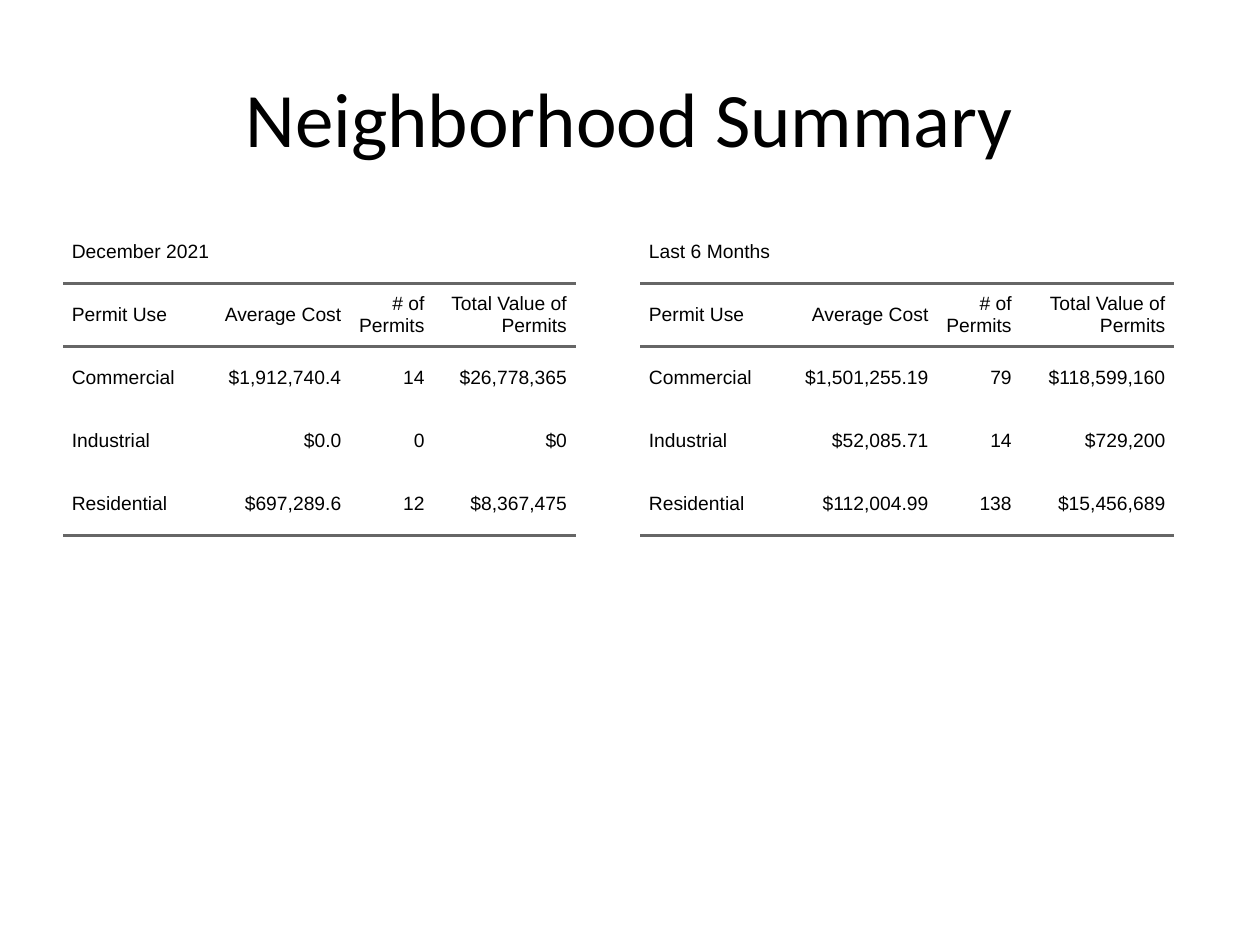
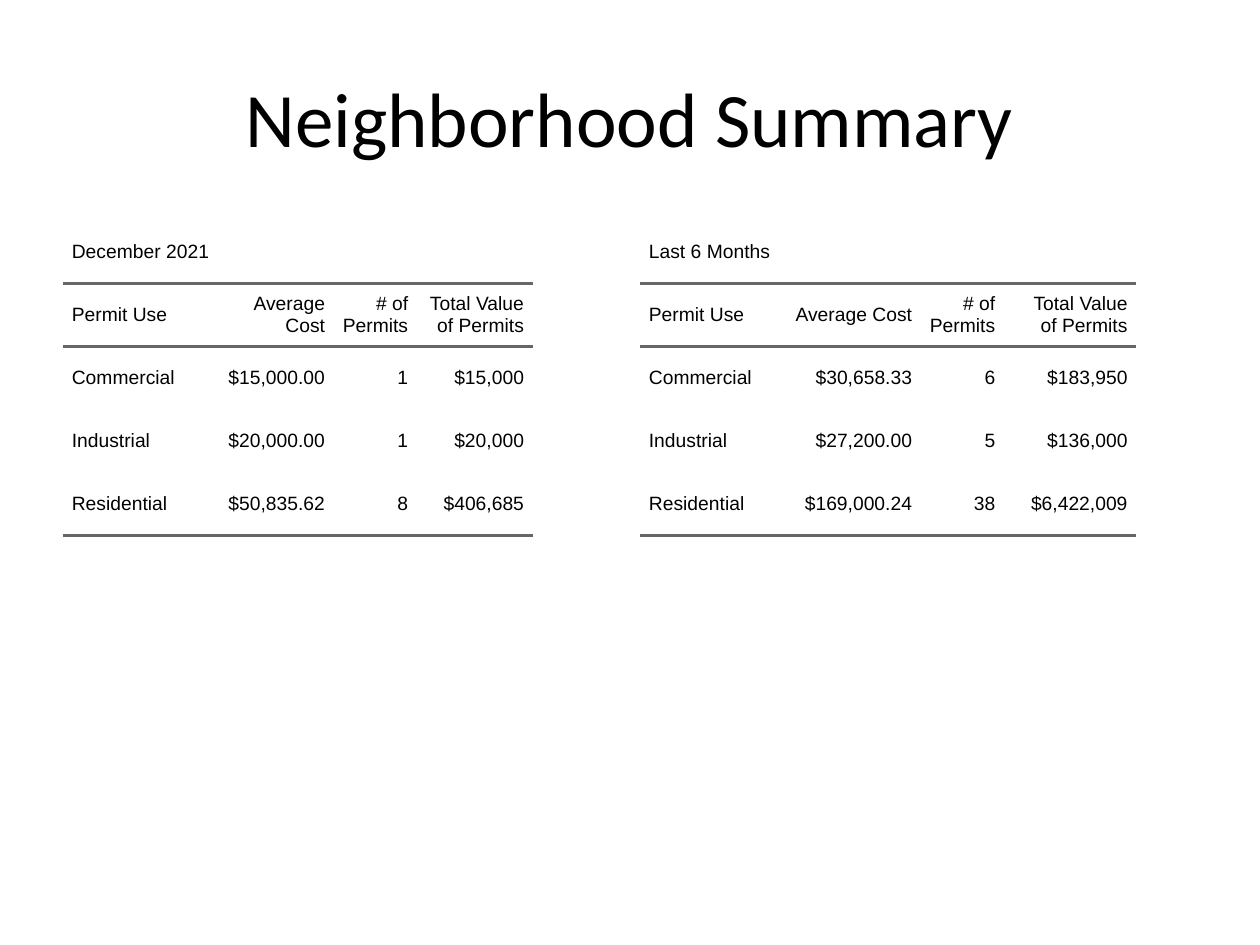
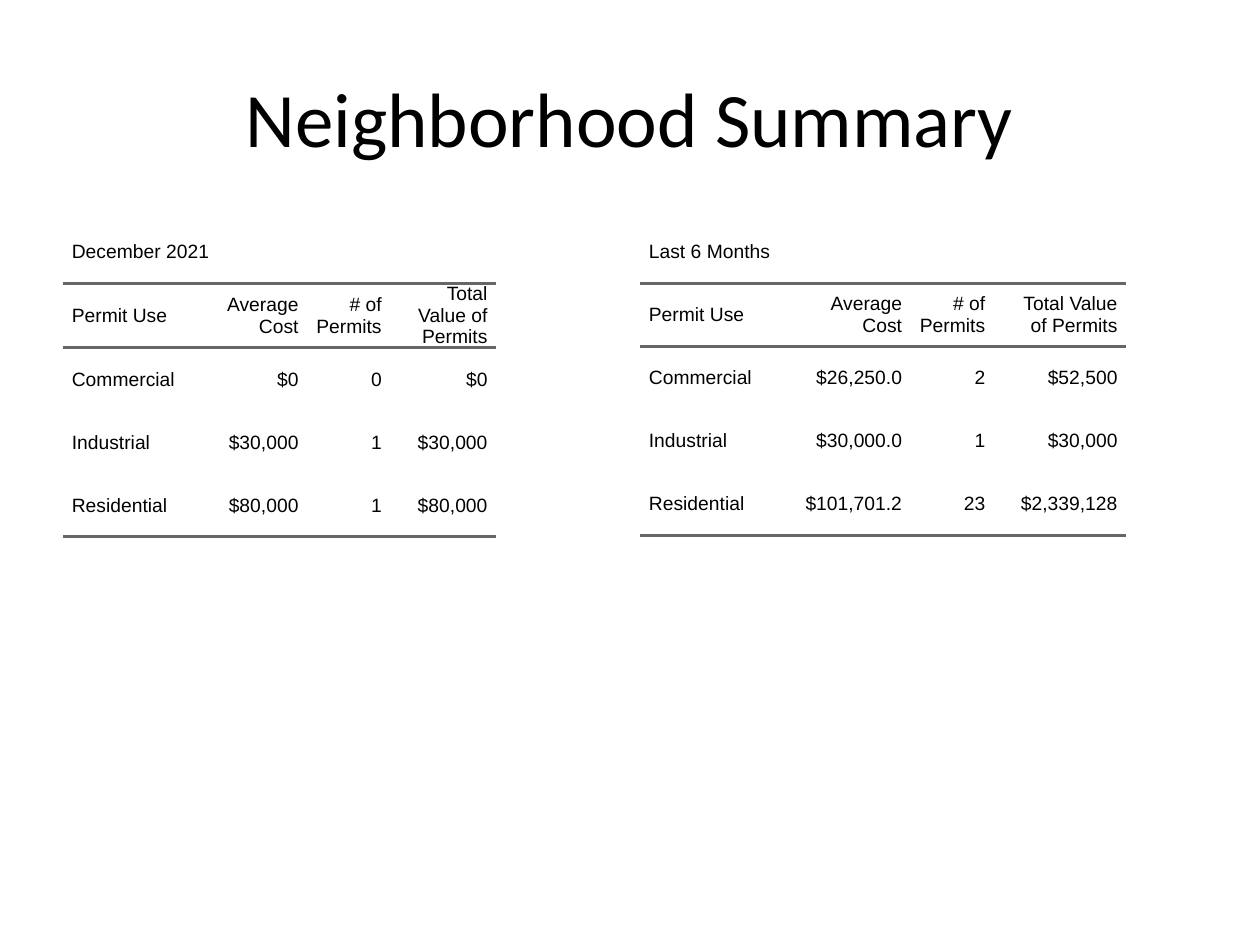
from lxml import etree
from pptx import Presentation
from pptx.dml.color import RGBColor
from pptx.enum import text
from pptx.oxml.ns import qn
from pptx.util import Inches, Pt

TITLE = "Neighborhood Summary"
HEADINGS = ("Permit Use", "Average Cost", "# of Permits", "Total Value of Permits")
USES = ("Commercial", "Industrial", "Residential")
PERIODS = ("December 2021", "Last 6 Months")

# For each slide, one entry per period: the widths of the cost and value
# columns, then average cost, permits and total value for each use.
SUMMARIES = [
    [
        ((1.18, 1.13), [("$1,912,740.4", "14", "$26,778,365"),
                        ("$0.0", "0", "$0"),
                        ("$697,289.6", "12", "$8,367,475")]),
        ((1.26, 1.22), [("$1,501,255.19", "79", "$118,599,160"),
                        ("$52,085.71", "14", "$729,200"),
                        ("$112,004.99", "138", "$15,456,689")]),
    ],
    [
        ((1.05, 0.92), [("$15,000.00", "1", "$15,000"),
                        ("$20,000.00", "1", "$20,000"),
                        ("$50,835.62", "8", "$406,685")]),
        ((1.13, 1.05), [("$30,658.33", "6", "$183,950"),
                        ("$27,200.00", "5", "$136,000"),
                        ("$169,000.24", "38", "$6,422,009")]),
    ],
    [
        ((0.84, 0.84), [("$0", "0", "$0"),
                        ("$30,000", "1", "$30,000"),
                        ("$80,000", "1", "$80,000")]),
        ((1.05, 1.05), [("$26,250.0", "2", "$52,500"),
                        ("$30,000.0", "1", "$30,000"),
                        ("$101,701.2", "23", "$2,339,128")]),
    ],
]

COLORS = {"text": "000000", "rule": "666666"}
TABLE_LEFTS = (0.5, 5.08)
TABLE_TOP = 1.75
TABLE_WIDTH, TABLE_HEIGHT = 4.42, 4.95
USE_WIDTH, COUNT_WIDTH = 1.1, 0.66
ROW_HEIGHT = 0.5
CELL_INDENT = 0.07
NO_GRID_STYLE = "{2D5ABB26-0587-4C30-8999-92F81FD0307C}"


def style_paragraph(paragraph, font, size, alignment):
    paragraph.alignment = alignment
    paragraph.font.name = font
    paragraph.font.size = Pt(size)
    paragraph.font.color.rgb = RGBColor.from_string(COLORS["text"])


def add_title(slide):
    title = slide.shapes.title
    title.left, title.top, title.width, title.height = map(Inches, (0.5, 0.3, 9, 1.25))
    title.text_frame.text = TITLE
    title.text_frame.vertical_anchor = text.MSO_ANCHOR.MIDDLE
    style_paragraph(title.text_frame.paragraphs[0], "Calibri", 44, text.PP_ALIGN.CENTER)


def fill_cell(cell, words, alignment):
    cell.text = words
    cell.vertical_anchor = text.MSO_ANCHOR.MIDDLE
    cell.margin_left = cell.margin_right = cell.margin_top = cell.margin_bottom = 0
    paragraph = cell.text_frame.paragraphs[0]
    properties = paragraph._p.get_or_add_pPr()
    for side in ("marL", "marR"):
        properties.set(side, str(Inches(CELL_INDENT)))
    properties.set("indent", "0")
    style_paragraph(paragraph, "Arial", 11, alignment)


def add_rules(cell, sides):
    """Draw grey lines on the given cell sides, named lnT and lnB, in that order."""
    for side in sides:
        line = etree.SubElement(cell._tc.get_or_add_tcPr(), qn(f"a:{side}"), w=str(Pt(2)))
        fill = etree.SubElement(line, qn("a:solidFill"))
        etree.SubElement(fill, qn("a:srgbClr"), val=COLORS["rule"])


def add_permit_table(slide, left, period, widths, values):
    rows = [(period, "", "", ""), HEADINGS]
    rows += [(use, *numbers) for use, numbers in zip(USES, values)]
    frame = slide.shapes.add_table(len(rows), len(HEADINGS), Inches(left), Inches(TABLE_TOP),
                                   Inches(TABLE_WIDTH), Inches(TABLE_HEIGHT))
    table = frame.table
    table.first_row = table.horz_banding = False
    table._tbl.tblPr.find(qn("a:tableStyleId")).text = NO_GRID_STYLE

    cost_width, value_width = widths
    for column, width in zip(table.columns, (USE_WIDTH, cost_width, COUNT_WIDTH, value_width)):
        column.width = Inches(width)
    for row in table.rows:
        row.height = Inches(ROW_HEIGHT)
    frame.width, frame.height = Inches(TABLE_WIDTH), Inches(TABLE_HEIGHT)

    rules = {1: ("lnT", "lnB"), len(rows) - 1: ("lnB",)}
    for row_index, row in enumerate(rows):
        for column_index, words in enumerate(row):
            cell = table.cell(row_index, column_index)
            alignment = text.PP_ALIGN.RIGHT if column_index else text.PP_ALIGN.LEFT
            fill_cell(cell, words, alignment)
            add_rules(cell, rules.get(row_index, ()))
            cell.fill.background()
    table.cell(0, 0).merge(table.cell(0, len(HEADINGS) - 1))


def main():
    presentation = Presentation()
    presentation.slide_width, presentation.slide_height = Inches(10), Inches(7.5)
    title_only = presentation.slide_layouts[5]
    for summary in SUMMARIES:
        slide = presentation.slides.add_slide(title_only)
        add_title(slide)
        for left, period, (widths, values) in zip(TABLE_LEFTS, PERIODS, summary):
            add_permit_table(slide, left, period, widths, values)
    presentation.save("out.pptx")


if __name__ == "__main__":
    main()
